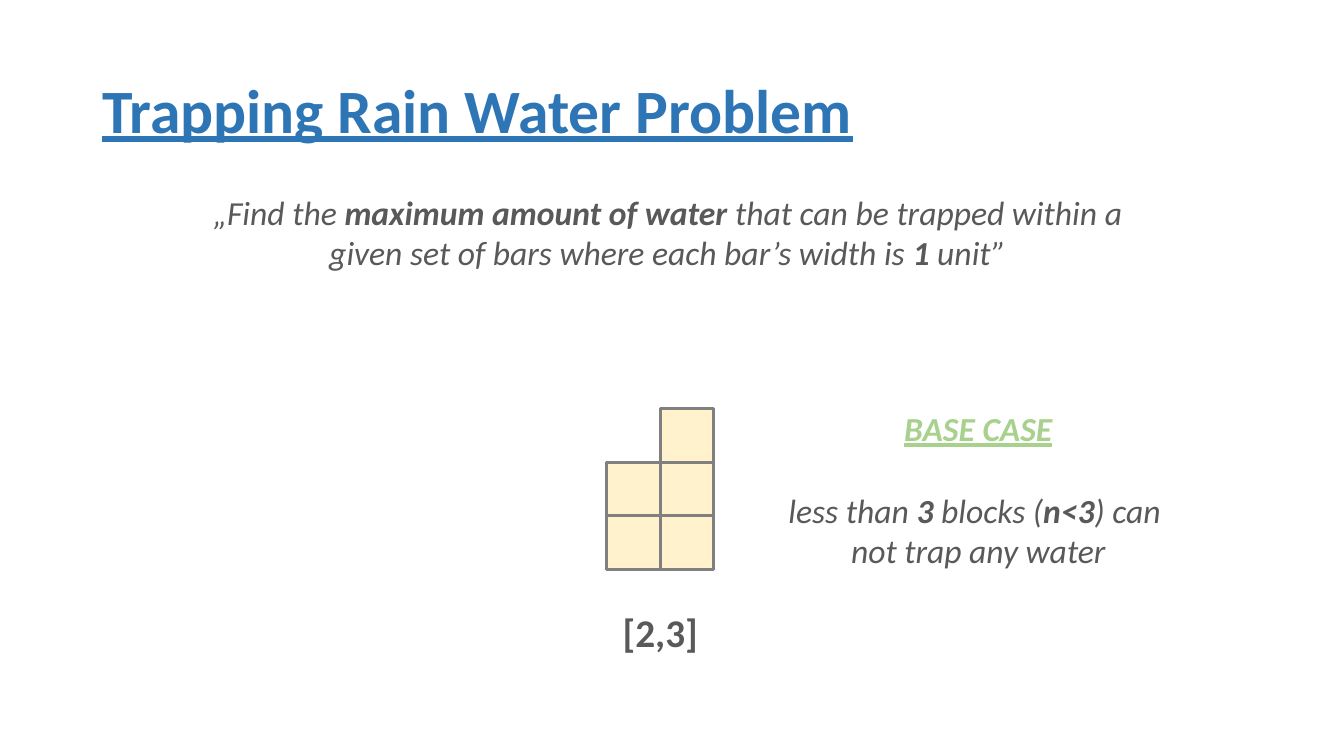
import dataclasses

import pptx
import pptx.dml.color
import pptx.enum.shapes
import pptx.enum.text
import pptx.util

Cm = pptx.util.Cm
Pt = pptx.util.Pt
RGB = pptx.dml.color.RGBColor
ALIGN = pptx.enum.text.PP_ALIGN
ANCHOR = pptx.enum.text.MSO_ANCHOR


@dataclasses.dataclass(frozen=True)
class Theme:
    """Colours, font and type sizes of the slide."""
    font: str = "Calibri"
    title: str = "2E75B6"
    text: str = "595959"
    accent: str = "A9D18E"
    block: str = "FFF2CC"
    edge: str = "808080"
    title_size: int = 44
    label_size: int = 28
    body_size: int = 24
    edge_width: float = 2.25
    line_gap: float = 29.3


THEME = Theme()


def add_box(s, box, anchor=ANCHOR.TOP):
    """Add a wrapping text box and return its text frame."""
    tf = s.shapes.add_textbox(*(Cm(v) for v in box)).text_frame
    tf.word_wrap = True
    tf.vertical_anchor = anchor
    return tf


def add_run(p, text, size, color, bold=False, italic=False, underline=False):
    """Add one formatted run to a paragraph."""
    r = p.add_run()
    r.text = text
    r.font.name = THEME.font
    r.font.size = Pt(size)
    r.font.color.rgb = RGB.from_string(color)
    r.font.bold = bold
    r.font.italic = italic
    r.font.underline = underline


def add_statement(p, parts):
    """Fill a centred italic paragraph whose odd parts are bold."""
    p.alignment = ALIGN.CENTER
    for i, text in enumerate(parts):
        add_run(p, text, THEME.body_size, THEME.text, bold=i % 2 == 1, italic=True)


def add_title(s, box, text):
    """Place the underlined slide title."""
    p = add_box(s, box, ANCHOR.MIDDLE).paragraphs[0]
    p.line_spacing = 0.9
    add_run(p, text, THEME.title_size, THEME.title, bold=True, underline=True)


def add_problem(s, box):
    """Place the problem statement."""
    tf = add_box(s, box)
    add_statement(tf.paragraphs[0],
                  ["„Find the ", "maximum amount of water ", "that can be trapped within a "])
    add_statement(tf.add_paragraph(),
                  ["given set of bars where each bar’s width is ", "1", " unit” "])


def add_bars(s, box, heights):
    """Stack square blocks from the left of the box and label them below."""
    left, top, width, height = box
    side = width / len(heights)
    base = top + max(heights) * side
    for col, count in enumerate(heights):
        for row in range(count):
            sp = s.shapes.add_shape(
                pptx.enum.shapes.MSO_SHAPE.RECTANGLE,
                Cm(left + col * side), Cm(base - (row + 1) * side), Cm(side), Cm(side))
            sp.shadow.inherit = False
            sp.fill.solid()
            sp.fill.fore_color.rgb = RGB.from_string(THEME.block)
            sp.line.color.rgb = RGB.from_string(THEME.edge)
            sp.line.width = Pt(THEME.edge_width)
    label_height = 1.45
    p = add_box(s, (left, top + height - label_height, width, label_height)).paragraphs[0]
    p.alignment = ALIGN.CENTER
    label = "[" + ",".join(str(count) for count in heights) + "]"
    add_run(p, label, THEME.label_size, THEME.text, bold=True)


def add_base_case(s, box):
    """Place the base case heading and its explanation."""
    tf = add_box(s, box)
    p = tf.paragraphs[0]
    p.alignment = ALIGN.CENTER
    add_run(p, "BASE CASE", THEME.body_size, THEME.accent,
            bold=True, italic=True, underline=True)
    p = tf.add_paragraph()
    p.space_before = Pt(THEME.line_gap)
    add_statement(p, ["less than ", "3", " blocks (", "n<3", ") can "])
    add_statement(tf.add_paragraph(), ["not trap any water"])


def main():
    """Build and save the slide."""
    prs = pptx.Presentation()
    prs.slide_width, prs.slide_height = Cm(33.87), Cm(19.05)
    s = prs.slides.add_slide(prs.slide_layouts[6])
    add_title(s, (2.33, 1.01, 29.21, 3.68), "Trapping Rain Water Problem")
    add_problem(s, (2.72, 4.7, 28.4, 5.38))
    add_bars(s, (15.29, 10.3, 2.7, 6.36), [2, 3])
    add_base_case(s, (19.56, 10.16, 10.19, 4.37))
    prs.save("out.pptx")


if __name__ == "__main__":
    main()
